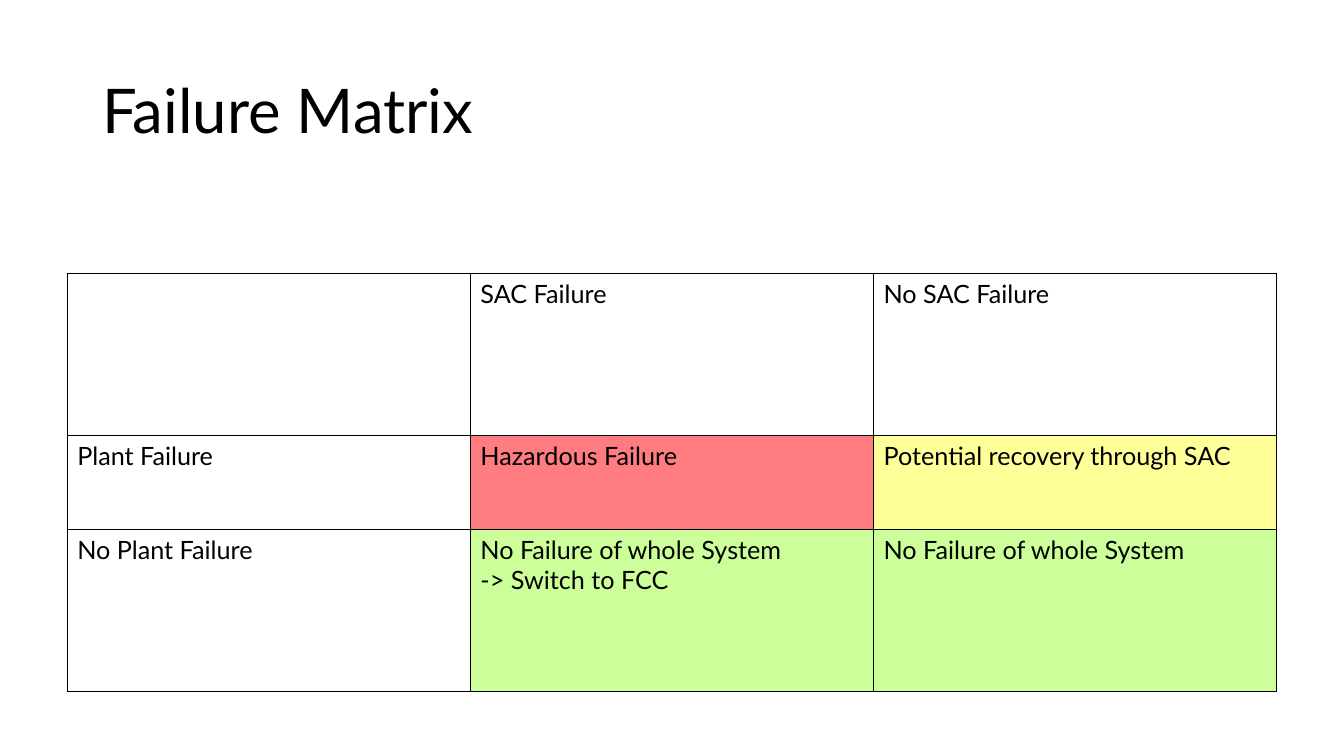
from lxml.etree import SubElement
from pptx import Presentation
from pptx.dml.color import RGBColor
from pptx.enum.text import MSO_ANCHOR, PP_ALIGN
from pptx.oxml.ns import qn
from pptx.util import Pt

FONT = "Lato"
BLACK, RED, YELLOW, GREEN = "000000", "FF7C80", "FFFF99", "CCFF99"

COLUMN_WIDTH = 288
ROW_HEIGHTS = [116, 67, 116]

# Each cell holds its text and its fill colour
MATRIX = [
    [("", None), ("SAC Failure", None), ("No SAC Failure", None)],
    [("Plant Failure", None), ("Hazardous Failure", RED),
     ("Potential recovery through SAC", YELLOW)],
    [("No Plant Failure", None),
     ("No Failure of whole System\n-> Switch to FCC", GREEN),
     ("No Failure of whole System", GREEN)],
]


def color(value):
    return RGBColor.from_string(value)


def write_text(text_frame, text, size=18, font_color=BLACK,
               align=PP_ALIGN.LEFT, line_spacing=None):
    text_frame.text = text
    for paragraph in text_frame.paragraphs:
        paragraph.alignment = align
        paragraph.line_spacing = line_spacing
        paragraph.font.size = Pt(size)
        for run in paragraph.runs:
            run.font.name = FONT
            run.font.size = Pt(size)
            run.font.color.rgb = color(font_color)


def add_borders(cell, line_color=BLACK, width=1):
    properties = cell._tc.get_or_add_tcPr()
    for side in ("a:lnL", "a:lnR", "a:lnT", "a:lnB"):
        line = SubElement(properties, qn(side), w=str(Pt(width)))
        fill = SubElement(line, qn("a:solidFill"))
        SubElement(fill, qn("a:srgbClr"), val=line_color)


def format_cell(cell, text, fill_color):
    write_text(cell.text_frame, text)
    add_borders(cell)
    if fill_color:
        cell.fill.solid()
        cell.fill.fore_color.rgb = color(fill_color)
    else:
        cell.fill.background()


def add_title(slide, text):
    title = slide.shapes.title
    title.left, title.top = Pt(66), Pt(28.75)
    title.width, title.height = Pt(828), Pt(104.4)
    title.text_frame.vertical_anchor = MSO_ANCHOR.MIDDLE
    write_text(title.text_frame, text, size=44, line_spacing=0.9)


def add_matrix(slide, rows):
    column_count = len(rows[0])
    table = slide.shapes.add_table(
        len(rows), column_count, Pt(48), Pt(195.2),
        Pt(COLUMN_WIDTH * column_count), Pt(sum(ROW_HEIGHTS))).table
    table.first_row = False
    table.horz_banding = False
    for column in table.columns:
        column.width = Pt(COLUMN_WIDTH)
    for row_index, row in enumerate(rows):
        table.rows[row_index].height = Pt(ROW_HEIGHTS[row_index])
        for column_index, (text, fill_color) in enumerate(row):
            format_cell(table.cell(row_index, column_index), text, fill_color)


def main():
    presentation = Presentation()
    presentation.slide_width, presentation.slide_height = Pt(960), Pt(540)

    # Title Only layout
    slide = presentation.slides.add_slide(presentation.slide_layouts[5])
    add_title(slide, "Failure Matrix")
    add_matrix(slide, MATRIX)

    presentation.save("out.pptx")


if __name__ == "__main__":
    main()
